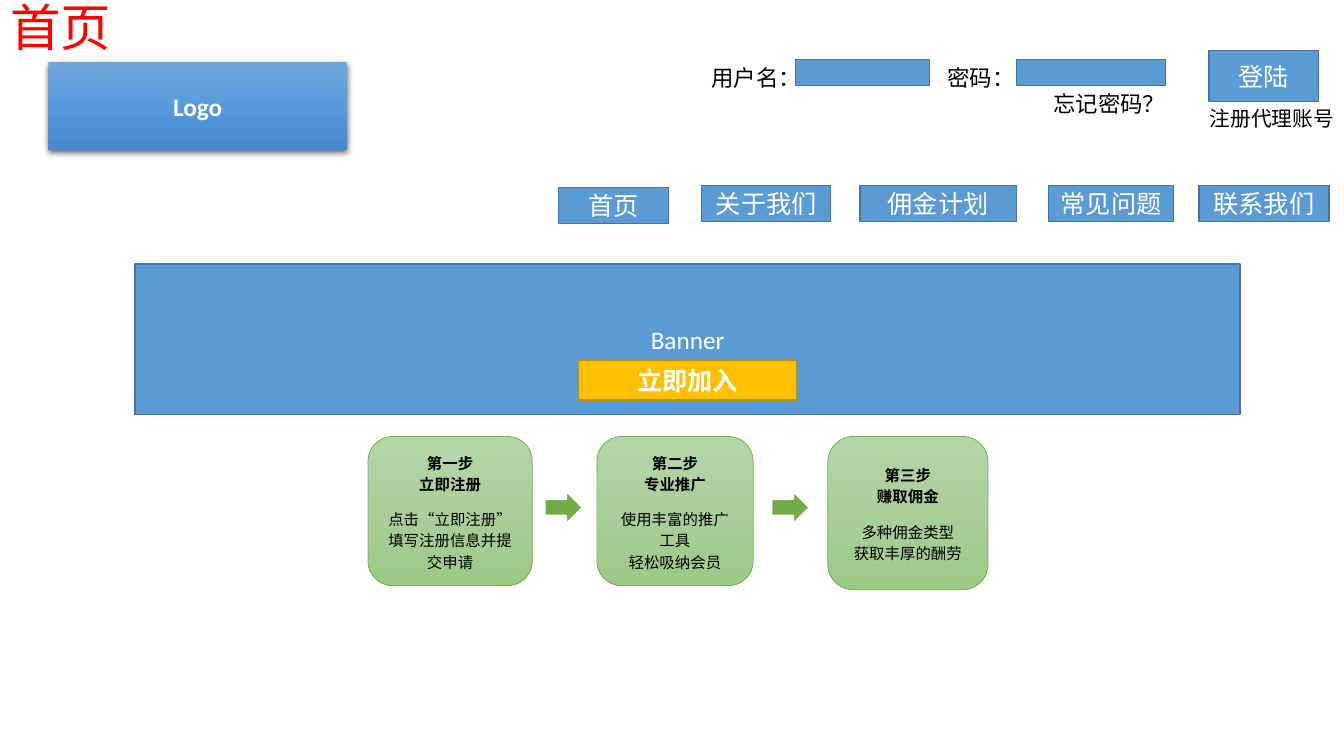
import copy

import lxml.etree
import pptx
import pptx.dml.color
import pptx.enum.shapes
import pptx.enum.text
import pptx.oxml
import pptx.oxml.ns
import pptx.util

Inches, Pt = pptx.util.Inches, pptx.util.Pt
SHAPE = pptx.enum.shapes.MSO_SHAPE
ALIGN = pptx.enum.text.PP_ALIGN
ANCHOR = pptx.enum.text.MSO_ANCHOR
qn = pptx.oxml.ns.qn

TITLE = ("首页", (0, 0, 1.46, 0.62))
LOGO = ("Logo", (0.48, 0.62, 2.96, 0.87))
LABELS = [
    ("用户名：", 6.96, 0.62, 16),
    ("密码：", 9.3, 0.62, 16),
    ("忘记密码？", 10.35, 0.88, 16),
    ("注册代理账号", 11.9, 1.03, 14.8),
]
LABEL_SIZE = (1.47, 0.51)
BOXES = [
    ("", (7.89, 0.59, 1.33, 0.26)),
    ("", (10.08, 0.59, 1.48, 0.26)),
    ("登陆", (11.99, 0.5, 1.09, 0.51)),
    ("首页", (5.54, 1.86, 1.09, 0.36)),
    ("关于我们", (6.96, 1.84, 1.28, 0.36)),
    ("佣金计划", (8.53, 1.84, 1.55, 0.36)),
    ("常见问题", (10.4, 1.84, 1.24, 0.36)),
    ("联系我们", (11.89, 1.84, 1.29, 0.36)),
    ("Banner", (1.34, 2.62, 10.96, 1.49)),
]
JOIN = ("立即加入", (5.74, 3.57, 2.16, 0.4))
STEPS = [
    ("第一步\v立即注册", "点击“立即注册”\v填写注册信息并提交申请", (3.65, 4.33, 1.63, 1.48)),
    ("第二步\v专业推广", "使用丰富的推广工具\v轻松吸纳会员", (5.92, 4.33, 1.55, 1.48)),
    ("第三步\v赚取佣金", "多种佣金类型\v获取丰厚的酬劳", (8.21, 4.33, 1.59, 1.52)),
]
ARROW_LEFTS = [5.4, 7.65]

THEME = {
    "font": "Calibri",
    "title": "FF0000", "ink": "000000", "light": "FFFFFF",
    "blue": "5B9BD5", "blue_line": "43739E",
    "gold": "FFC000", "gold_line": "BD8E00", "green": "70AD47",
    "logo_fill": ["71A6DB", "559BDB", "448ACA"],
    "step_fill": ["B5D5A7", "AACE9A", "9CC987"],
    "title_size": 36, "box_size": 18, "step_size": 11,
}
SHADOW = (
    '<a:effectLst xmlns:a="http://schemas.openxmlformats.org/drawingml/2006/main">'
    '<a:outerShdw blurRad="57150" dist="19050" dir="5400000" algn="ctr" rotWithShape="0">'
    '<a:srgbClr val="000000"><a:alpha val="63000"/></a:srgbClr>'
    '</a:outerShdw></a:effectLst>'
)


def rgb(value):
    return pptx.dml.color.RGBColor.from_string(value)


def write(tf, text, *, size, color, bold=False, align=ALIGN.LEFT,
          anchor=ANCHOR.TOP, spacing=None, before=None, after=None, add=False):
    tf.word_wrap = True
    tf.auto_size = pptx.enum.text.MSO_AUTO_SIZE.NONE
    tf.vertical_anchor = anchor
    p = tf.add_paragraph() if add else tf.paragraphs[0]
    p.text = text
    p.alignment = align
    p.line_spacing = spacing
    p.space_before = before
    p.space_after = after
    for r in p.runs:
        r.font.name = THEME["font"]
        r.font.size = Pt(size)
        r.font.bold = bold
        r.font.color.rgb = rgb(color)
    for br in p._p.findall(qn("a:br")):
        br.insert(0, copy.deepcopy(p.runs[0]._r.rPr))


def add_shape(s, kind, at, fill, line=None, width=1):
    sp = s.shapes.add_shape(kind, *map(Inches, at))
    sp.shadow.inherit = False
    if isinstance(fill, list):
        sp.fill.gradient()
        sp.fill.gradient_angle = 270
        stops = sp._element.spPr.find(".//" + qn("a:gsLst"))
        stops.append(copy.deepcopy(stops[-1]))
        for i, stop in enumerate(sp.fill.gradient_stops):
            stop.position = i / (len(fill) - 1)
            stop.color.rgb = rgb(fill[i])
    else:
        sp.fill.solid()
        sp.fill.fore_color.rgb = rgb(fill)
    if line:
        sp.line.color.rgb = rgb(line)
        sp.line.width = Pt(width)
    else:
        sp.line.fill.background()
    return sp


def add_box(s, text, at, fill, line=None, bold=False):
    sp = add_shape(s, SHAPE.RECTANGLE, at, fill, line)
    if text:
        write(sp.text_frame, text, size=THEME["box_size"], color=THEME["light"],
              bold=bold, align=ALIGN.CENTER, anchor=ANCHOR.MIDDLE)
    return sp


def add_step(s, heading, body, at):
    sp = add_shape(s, SHAPE.ROUNDED_RECTANGLE, at, THEME["step_fill"], THEME["green"], 0.5)
    for text, is_body in ((heading, False), (body, True)):
        write(sp.text_frame, text, size=THEME["step_size"], color=THEME["ink"],
              bold=not is_body, align=ALIGN.CENTER, anchor=ANCHOR.MIDDLE,
              spacing=1.15, after=Pt(10), add=is_body)


def main():
    prs = pptx.Presentation()
    prs.slide_width, prs.slide_height = Inches(13.33), Inches(7.5)
    s = prs.slides.add_slide(prs.slide_layouts[5])

    text, at = TITLE
    title = s.shapes.title
    title.left, title.top, title.width, title.height = map(Inches, at)
    write(title.text_frame, text, size=THEME["title_size"], color=THEME["title"],
          anchor=ANCHOR.BOTTOM, spacing=0.9)

    logo = add_box(s, *LOGO, THEME["logo_fill"], bold=True)
    spPr = logo._element.spPr
    spPr.replace(spPr.find(qn("a:effectLst")), pptx.oxml.parse_xml(SHADOW))

    for text, left, top, size in LABELS:
        tb = s.shapes.add_textbox(*map(Inches, (left, top, *LABEL_SIZE)))
        write(tb.text_frame, text, size=size, color=THEME["ink"],
              spacing=0.9, before=Pt(10))

    for text, at in BOXES:
        add_box(s, text, at, THEME["blue"], THEME["blue_line"])
    add_box(s, *JOIN, THEME["gold"], THEME["gold_line"], bold=True)

    for step in STEPS:
        add_step(s, *step)
    for left in ARROW_LEFTS:
        add_shape(s, SHAPE.RIGHT_ARROW, (left, 4.87, 0.38, 0.33),
                  THEME["green"], THEME["light"], 1.5)

    prs.save("out.pptx")


if __name__ == "__main__":
    main()
